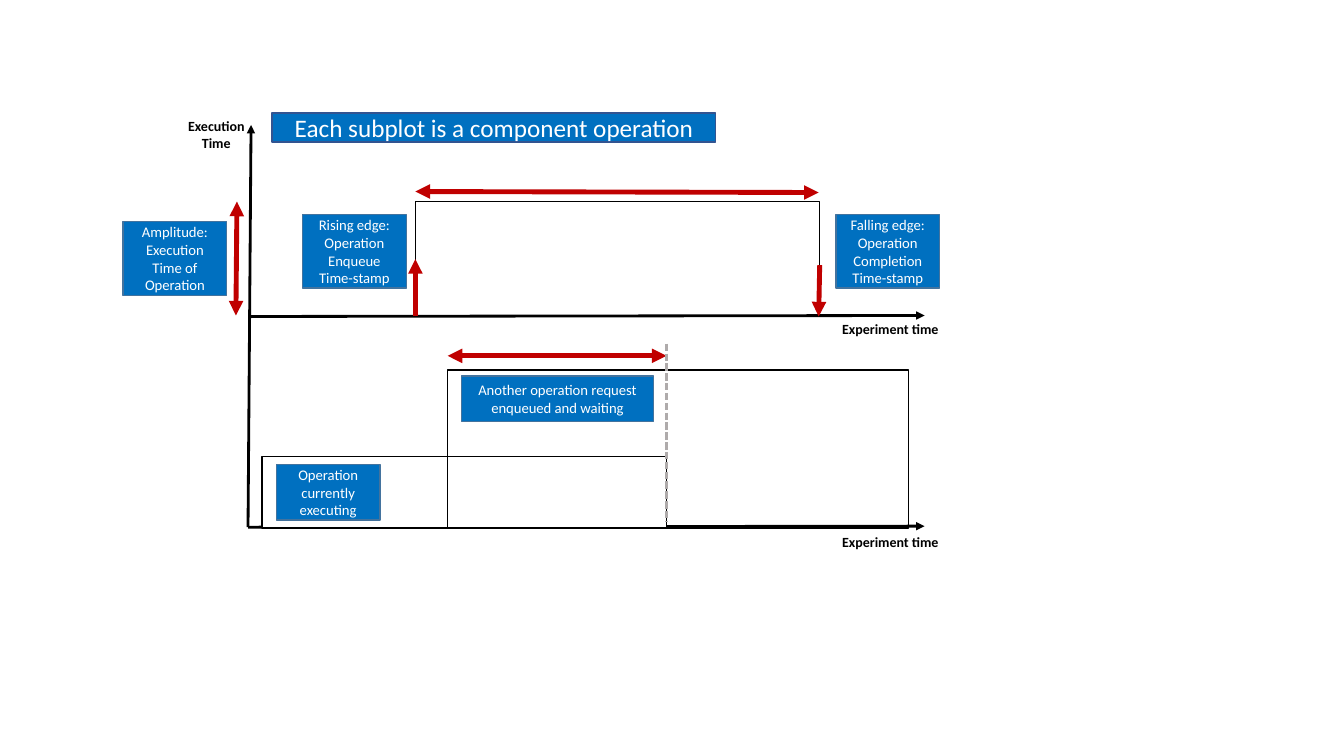
from dataclasses import dataclass
from lxml import etree
from pptx import Presentation
from pptx.dml.color import RGBColor
from pptx.enum import dml, shapes, text
from pptx.oxml import ns
from pptx.util import Inches, Pt


@dataclass(frozen=True)
class Theme:
    font: str = "Calibri"
    ink: str = "000000"
    paper: str = "FFFFFF"
    callout: str = "0070C0"
    callout_edge: str = "43739E"
    title_edge: str = "325491"
    span_arrow: str = "C00000"
    guide: str = "AFABAB"
    title_size: float = 18
    callout_size: float = 10.5
    caption_size: float = 10
    edge_width: float = 1
    axis_width: float = 2
    arrow_width: float = 3.5
    guide_width: float = 1.75


theme = Theme()

TITLE = ("Each subplot is a component operation", (2.7, 1.12, 4.4, 0.29))
CALLOUT_WIDTH = 1.03
CALLOUTS = [
    (["Rising edge:", "Operation Enqueue Time-stamp"], (3, 2.13, CALLOUT_WIDTH, 0.73)),
    (["Falling edge:", "Operation Completion Time-stamp"], (8.29, 2.13, CALLOUT_WIDTH, 0.73)),
    (["Amplitude:", "Execution Time of Operation"], (1.22, 2.2, CALLOUT_WIDTH, 0.73)),
    (["Another operation request enqueued and waiting"], (4.58, 3.73, 1.9, 0.45)),
    (["Operation currently executing"], (2.74, 4.61, CALLOUT_WIDTH, 0.55)),
]
CAPTIONS = [
    ("Execution Time", (1.74, 1.12, 0.81, 0.44)),
    ("Experiment time", (8.18, 3.13, 1.3, 0.27)),
    ("Experiment time", (8.18, 5.24, 1.3, 0.27)),
]
UPPER_PULSE = (4.12, 2, 4.01, 1.14)
RUNNING_PULSE = (2.6, 4.53, 4.01, 0.71)
WAITING_PULSE = (4.44, 3.67, 4.57, 1.57)
AXES = [
    ((2.46, 3.14), (9.17, 3.13)),
    ((2.46, 5.23), (2.49, 1.24)),
    ((2.46, 5.23), (9.17, 5.22)),
]
EDGE_ARROWS = [
    ((4.12, 3.14), (4.12, 2.57)),
    ((8.13, 2.63), (8.12, 3.14)),
]
SPAN_ARROWS = [
    ((2.34, 3.13), (2.35, 2)),
    ((4.12, 1.9), (8.12, 1.91)),
    ((4.44, 3.53), (6.61, 3.53)),
]
START_GUIDE = ((6.61, 3.41), (6.61, 5.18))

deck = Presentation()
deck.slide_width, deck.slide_height = Inches(13.33), Inches(7.5)
page = deck.slides.add_slide(deck.slide_layouts[6])


def color(code):
    return RGBColor.from_string(code)


def write(box, lines, size, ink, bold=False, anchor=text.MSO_ANCHOR.TOP):
    frame = box.text_frame
    frame.word_wrap = True
    frame.vertical_anchor = anchor
    for index, line in enumerate(lines):
        para = frame.paragraphs[0] if index == 0 else frame.add_paragraph()
        para.alignment = text.PP_ALIGN.CENTER
        span = para.add_run()
        span.text = line
        span.font.name = theme.font
        span.font.size = Pt(size)
        span.font.bold = bold
        span.font.color.rgb = color(ink)


def add_rectangle(place, edge, fill=None):
    box = page.shapes.add_shape(shapes.MSO_SHAPE.RECTANGLE, *map(Inches, place))
    box.shadow.inherit = False
    if fill:
        box.fill.solid()
        box.fill.fore_color.rgb = color(fill)
    else:
        box.fill.background()
    box.line.color.rgb = color(edge)
    box.line.width = Pt(theme.edge_width)
    return box


def add_callout(lines, place, edge, size):
    box = add_rectangle(place, edge, theme.callout)
    write(box, lines, size, theme.paper, anchor=text.MSO_ANCHOR.MIDDLE)


def add_line(ends, ink, width, heads=(), dash=None):
    start, stop = ends
    line = page.shapes.add_connector(
        shapes.MSO_CONNECTOR.STRAIGHT, *map(Inches, (*start, *stop)))
    line.line.color.rgb = color(ink)
    line.line.width = Pt(width)
    if dash:
        line.line.dash_style = dash
    outline = line.line._get_or_add_ln()
    for head in heads:
        etree.SubElement(outline, ns.qn(f"a:{head}"), type="triangle")
    etree.SubElement(line._element.spPr, ns.qn("a:effectLst"))


add_rectangle(UPPER_PULSE, theme.ink, theme.paper)
for axis in AXES:
    add_line(axis, theme.ink, theme.axis_width, ["tailEnd"])
add_rectangle(RUNNING_PULSE, theme.ink, theme.paper)
add_rectangle(WAITING_PULSE, theme.ink)

title, title_place = TITLE
add_callout([title], title_place, theme.title_edge, theme.title_size)
for lines, place in CALLOUTS:
    add_callout(lines, place, theme.callout_edge, theme.callout_size)
for caption, place in CAPTIONS:
    box = page.shapes.add_textbox(*map(Inches, place))
    write(box, [caption], theme.caption_size, theme.ink, bold=True)
    box.text_frame.auto_size = text.MSO_AUTO_SIZE.SHAPE_TO_FIT_TEXT

for arrow in EDGE_ARROWS:
    add_line(arrow, theme.span_arrow, theme.arrow_width, ["tailEnd"])
for arrow in SPAN_ARROWS:
    add_line(arrow, theme.span_arrow, theme.arrow_width, ["headEnd", "tailEnd"])
add_line(START_GUIDE, theme.guide, theme.guide_width, dash=dml.MSO_LINE.SQUARE_DOT)

deck.save("out.pptx")
